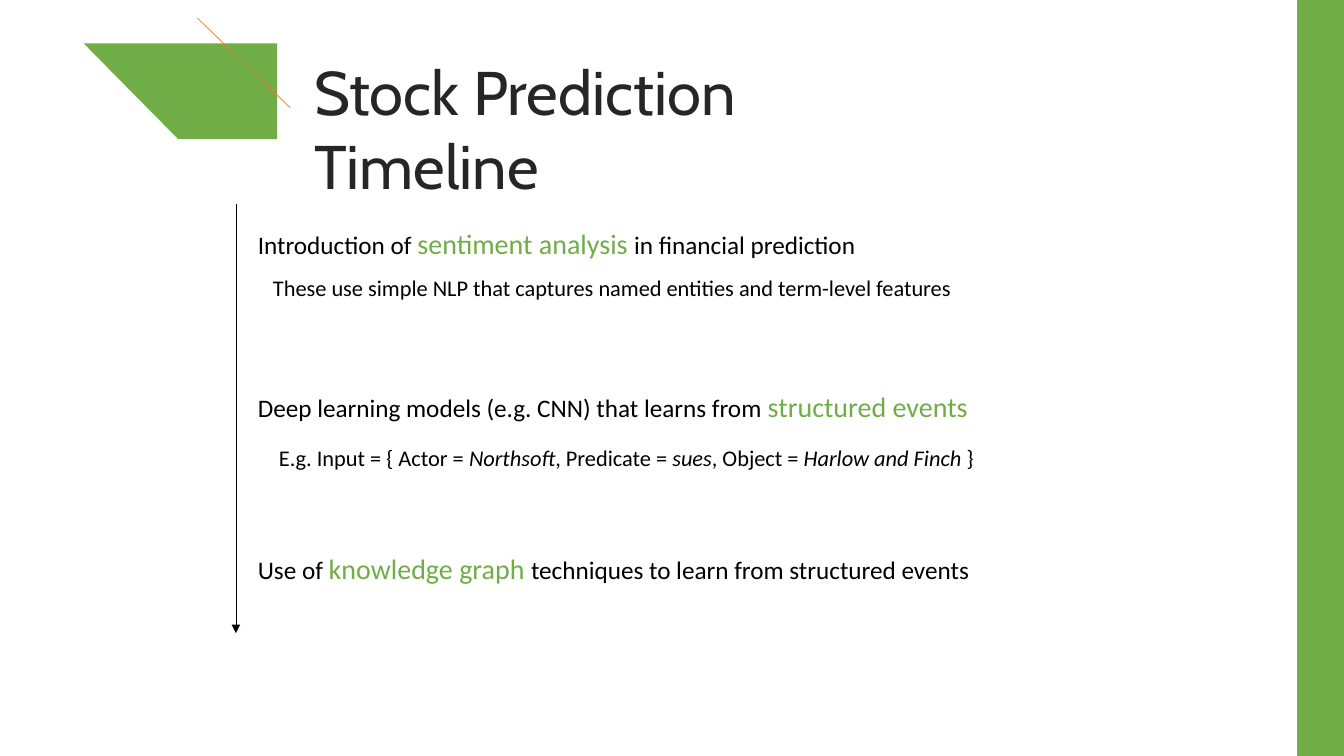
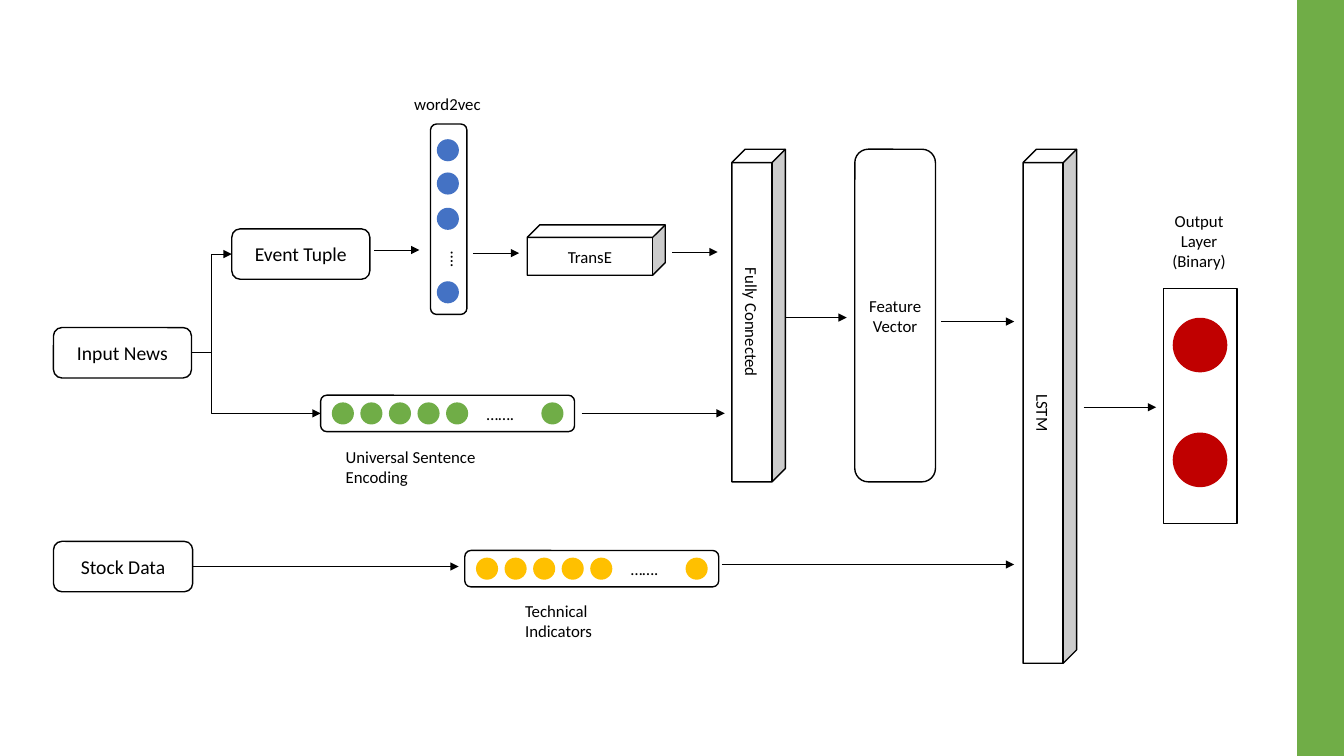
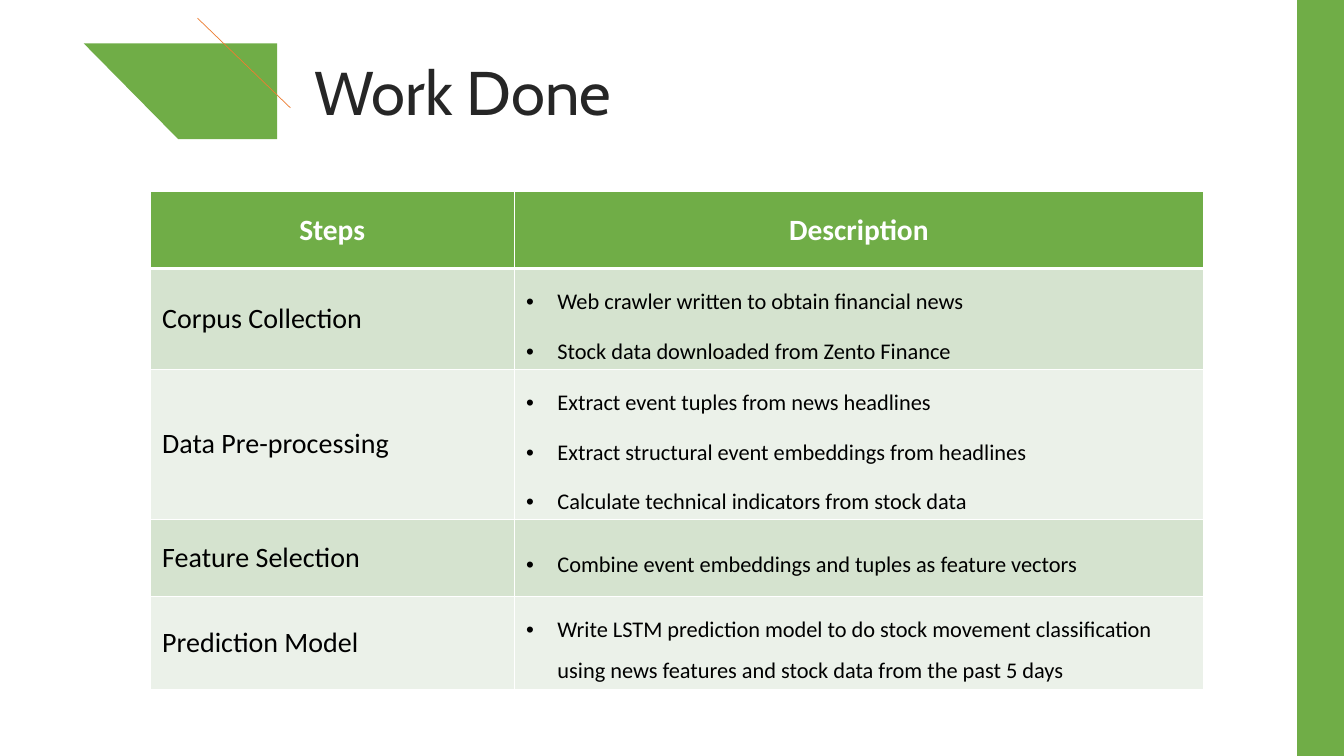
from typing import NamedTuple

from lxml.etree import SubElement
from pptx import Presentation
from pptx.dml.color import RGBColor
from pptx.enum.shapes import MSO_CONNECTOR as LINK, MSO_SHAPE as SHAPE
from pptx.enum.text import MSO_ANCHOR as ANCHOR, MSO_AUTO_SIZE as FIT, PP_ALIGN as ALIGN
from pptx.oxml.ns import qn
from pptx.util import Pt

COLORS = {
    "green": "70AD47", "orange": "ED7D31", "title": "262626", "black": "000000",
    "white": "FFFFFF", "blue": "4472C4", "gold": "FFC000", "red": "C00000",
    "row_dark": "D5E3CF", "row_light": "EBF1E9",
}
TOP, LEFT, BOTTOM, RIGHT = range(4)
DOT = 15.8


class Box(NamedTuple):
    left: float
    top: float
    width: float
    height: float

    def inner(self, dx, dy, width, height):
        """Box offset from this one's top left corner."""
        return Box(self.left + dx, self.top + dy, width, height)

    def emu(self):
        return [Pt(length) for length in self]


def rgb(name):
    return RGBColor.from_string(COLORS[name])


def apply(target, values):
    for name, value in values.items():
        setattr(target, name, value)


def write(frame, paragraphs, size=12, font="Calibri", color="black", bold=False, **layout):
    """Fill a text frame; a paragraph is a string or a list of (text, font changes)."""
    for index, runs in enumerate(paragraphs):
        paragraph = frame.paragraphs[0] if index == 0 else frame.add_paragraph()
        apply(paragraph, layout)
        for text, changes in [(runs, {})] if isinstance(runs, str) else runs:
            run = paragraph.add_run()
            run.text = text
            look = {"size": size, "color": color, "italic": False, **changes}
            apply(run.font, {"name": font, "size": Pt(look["size"]),
                             "bold": bold, "italic": look["italic"]})
            run.font.color.rgb = rgb(look["color"])


def turn_text(shape):
    shape.element.find(".//" + qn("a:bodyPr")).set("vert", "vert")


def label(slide, box, paragraphs, wrap=False, **look):
    text = slide.shapes.add_textbox(*box.emu())
    apply(text.text_frame, {"word_wrap": wrap, "auto_size": FIT.SHAPE_TO_FIT_TEXT})
    write(text.text_frame, paragraphs, **look)
    return text


def paint(shape, fill, outline=None):
    shape.shadow.inherit = False
    shape.fill.solid()
    shape.fill.fore_color.rgb = rgb(fill)
    if outline:
        shape.line.color.rgb = rgb(outline)
        shape.line.width = Pt(1)
    else:
        shape.line.fill.background()


def block(slide, kind, box, text=None, size=12, turned=False):
    """White outlined shape with optional centred text."""
    shape = slide.shapes.add_shape(kind, *box.emu())
    paint(shape, "white", "black")
    if text:
        shape.text_frame.vertical_anchor = ANCHOR.MIDDLE
        write(shape.text_frame, [text], size=size, alignment=ALIGN.CENTER)
    if turned:
        turn_text(shape)
    return shape


def dot(slide, box, color):
    paint(slide.shapes.add_shape(SHAPE.OVAL, *box.emu()), color)


def line(slide, start, end, color="black", arrow=True, kind=LINK.STRAIGHT):
    link = slide.shapes.add_connector(kind, *[Pt(length) for length in (*start, *end)])
    link.line.color.rgb = rgb(color)
    link.line.width = Pt(0.5)
    if arrow:
        SubElement(link.line._get_or_add_ln(), qn("a:tailEnd"), type="triangle")
    SubElement(link.element.spPr, qn("a:effectLst"))
    return link


def elbow(slide, source, target, bend):
    """Bent arrow from right side to left side, turning at the given share of its width."""
    link = line(slide, (0, 0), (1, 1), kind=LINK.ELBOW)
    link.begin_connect(source, RIGHT)
    link.end_connect(target, LEFT)
    geometry = link.element.spPr.find(qn("a:prstGeom"))
    guides = geometry.find(qn("a:avLst"))
    if guides is None:
        guides = SubElement(geometry, qn("a:avLst"))
    SubElement(guides, qn("a:gd"), name="adj1", fmla=f"val {round(bend * 100000)}")


def new_slide(deck):
    slide = deck.slides.add_slide(deck.slide_layouts[6])
    band = slide.shapes.add_shape(SHAPE.RECTANGLE, *Box(926.5, 0, 33.5, 540).emu())
    paint(band, "green")
    return slide


def heading(slide, box, title):
    """Slanted badge, orange stroke and title."""
    corners = [(box.left + dx, box.top + dy)
               for dx, dy in [(67.5, 68.4), (0, 0), (138.2, 0), (138.2, 68.4)]]
    first, *others = [(Pt(x), Pt(y)) for x, y in corners]
    outline = slide.shapes.build_freeform(*first)
    outline.add_line_segments(others)
    paint(outline.convert_to_shape(), "green")
    label(slide, box.inner(157.6, 4.3, box.width - 157.6, 60.5), [title],
          wrap=True, size=44, font="Cabin", color="title")
    line(slide, (box.left + 81.3, box.top - 18), (box.left + 147.6, box.top + 46),
         color="orange", arrow=False)


def timeline(slide, box, entries):
    """Downward arrow with a headline and an optional detail for each entry."""
    line(slide, (box.left, box.top), (box.left, box.top + box.height))
    for index, (headline, detail, dx, dy) in enumerate(entries):
        spot = box.inner(8.6, 13 + 116 * index, 540, 31.7)
        label(slide, spot, [headline], wrap=True, size=18)
        if detail:
            label(slide, spot.inner(dx, dy, 653, 26.6), [detail], wrap=True, size=16)


def dot_row(slide, box, color):
    row = block(slide, SHAPE.ROUNDED_RECTANGLE, box)
    for dx in [8 + 20.4 * step for step in range(5)] + [157.7]:
        dot(slide, box.inner(dx, 5.1, DOT, DOT), color)
    label(slide, box.inner(111.6, 2.2, 33.8, 21.6), ["……."])
    return row


def dot_column(slide, box, color):
    block(slide, SHAPE.ROUNDED_RECTANGLE, box)
    for dy in (10.8, 34.6, 59.8, 112.3):
        dot(slide, box.inner(4.5, dy, DOT, DOT), color)
    turn_text(label(slide, box.inner(1.4, 84.2, 28.8, 18.7), ["…."]))


def output_layer(slide, box):
    block(slide, SHAPE.RECTANGLE, box)
    for dy in (21, 103):
        dot(slide, box.inner(6.8, dy, 39, 39), "red")
    label(slide, box.inner(-0.7, -59, box.width, 51), ["Output", "Layer", "(Binary)"],
          alignment=ALIGN.CENTER)


def model_diagram(slide, box):
    stock_data, input_news, event_tuple = [
        block(slide, SHAPE.ROUNDED_RECTANGLE, box.inner(dx, dy, width, 36), text, size=14)
        for text, dx, dy, width in [("Stock Data", 0, 323.3, 99.4),
                                    ("Input News", 0, 170.6, 98.6),
                                    ("Event Tuple", 127.4, 100.1, 98.6)]]
    dot_column(slide, box.inner(269.3, 25.2, 26, 136), "blue")
    encoding = dot_row(slide, box.inner(190.8, 218.9, 181.4, 26), "green")
    dot_row(slide, box.inner(293.8, 329.8, 181.4, 26), "gold")
    block(slide, SHAPE.CUBE, box.inner(338.4, 97.2, 98.6, 36), "TransE")
    block(slide, SHAPE.CUBE, box.inner(484.6, 43.2, 38.2, 237.6), "Fully Connected", turned=True)
    block(slide, SHAPE.ROUNDED_RECTANGLE, box.inner(572.4, 43.2, 57.6, 237.6), "Feature Vector")
    block(slide, SHAPE.CUBE, box.inner(692.6, 43.2, 38.2, 367.2), "LSTM", turned=True)
    output_layer(slide, box.inner(792.7, 142.6, 52.6, 167.8))

    label(slide, box.inner(250.6, 0, 61.9, 21.6), ["word2vec"])
    label(slide, box.inner(201.6, 252, 154, 21.6), ["Universal Sentence Encoding"])
    label(slide, box.inner(329.8, 362.2, 105, 36), ["Technical Indicators"], wrap=True)

    elbow(slide, input_news, event_tuple, 0.5)
    elbow(slide, input_news, encoding, 0.155)
    from_stock, *_ = [
        line(slide, (box.left + start, box.top + dy), (box.left + end, box.top + dy))
        for start, end, dy in [(99.4, 289.4, 341.3), (229, 261.4, 115.2),
                               (299.5, 332.6, 117.4), (442.1, 474.5, 116.6),
                               (377.3, 479.5, 231.8), (522.7, 566.6, 163.4),
                               (634.3, 686.2, 166.3), (735.8, 787.7, 227.5),
                               (477.4, 686.2, 339.8)]]
    from_stock.begin_connect(stock_data, RIGHT)


def style_cell(cell, fill, bottom=1, top=1):
    apply(cell, {"vertical_anchor": ANCHOR.MIDDLE, "margin_left": Pt(8.6),
                 "margin_right": Pt(8.6), "margin_top": Pt(4.3), "margin_bottom": Pt(4.3)})
    properties = cell._tc.get_or_add_tcPr()
    for side, width in [("L", 1), ("R", 1), ("T", top), ("B", bottom)]:
        border = SubElement(properties, qn(f"a:ln{side}"), w=str(Pt(width)))
        paint_fill = SubElement(border, qn("a:solidFill"))
        SubElement(paint_fill, qn("a:srgbClr"), val=COLORS["white"])
    cell.fill.solid()
    cell.fill.fore_color.rgb = rgb(fill)


def add_bullets(frame):
    for paragraph in frame.paragraphs:
        properties = paragraph._p.get_or_add_pPr()
        properties.set("marL", str(Pt(22.3)))
        properties.set("indent", str(-Pt(22.3)))
        SubElement(properties, qn("a:buFont"), typeface="Arial")
        SubElement(properties, qn("a:buChar"), char="•")


def steps_table(slide, box, header, steps, column_widths, row_heights):
    table = slide.shapes.add_table(len(steps) + 1, len(header), *box.emu()).table
    for column, width in zip(table.columns, column_widths):
        column.width = Pt(width)
    for row, height in zip(table.rows, row_heights):
        row.height = Pt(height)
    for column, text in enumerate(header):
        cell = table.cell(0, column)
        style_cell(cell, "green", bottom=3)
        write(cell.text_frame, [text], size=21, color="white", bold=True,
              alignment=ALIGN.CENTER)
    for row, (step, descriptions) in enumerate(steps, 1):
        name, details = table.cell(row, 0), table.cell(row, 1)
        for cell in (name, details):
            style_cell(cell, "row_dark" if row % 2 else "row_light", top=3 if row == 1 else 1)
        write(name.text_frame, [step], size=20, space_after=Pt(6))
        write(details.text_frame, descriptions, size=16, line_spacing=1.5, space_after=Pt(6))
        add_bullets(details.text_frame)


KEY = {"size": 20, "color": "green"}
ITALIC = {"italic": True}
ENTRIES = [
    ([("Introduction of ", {}), ("sentiment analysis ", KEY),
      ("in financial prediction", {})],
     "These use simple NLP that captures named entities and term-level features", 10.8, 33.8),
    ([("Deep learning models (e.g. CNN) that learns from ", {}), ("structured events", KEY)],
     [("E.g. Input = { Actor = ", {}), ("Northsoft", ITALIC), (", Predicate = ", {}),
      ("sues", ITALIC), (", Object = ", {}), ("Harlow and Finch ", ITALIC), ("}", {})],
     15.1, 39.6),
    ([("Use of ", {}), ("knowledge graph ", KEY),
      ("techniques to learn from structured events", {})], None, 0, 0),
]
STEPS = [
    ("Corpus Collection", ["Web crawler written to obtain financial news",
                           "Stock data downloaded from Zento Finance"]),
    ("Data Pre-processing", ["Extract event tuples from news headlines",
                             "Extract structural event embeddings from headlines",
                             "Calculate technical indicators from stock data"]),
    ("Feature Selection", ["Combine event embeddings and tuples as feature vectors"]),
    ("Prediction Model", ["Write LSTM prediction model to do stock movement classification "
                          "using news features and stock data from the past 5 days"]),
]


def main():
    deck = Presentation()
    apply(deck, {"slide_width": Pt(960), "slide_height": Pt(540)})

    history = new_slide(deck)
    heading(history, Box(59.8, 31, 627, 68.4), "Stock Prediction Timeline")
    timeline(history, Box(168.5, 145.4, 662, 306.8), ENTRIES)

    model_diagram(new_slide(deck), Box(38.2, 63.4, 845.3, 410.4))

    progress = new_slide(deck)
    heading(progress, Box(59.8, 31, 600.4, 68.4), "Work Done")
    steps_table(progress, Box(107.3, 136.8, 752.4, 352.5), ("Steps", "Description"), STEPS,
                column_widths=(260, 492.4), row_heights=(55, 71, 106, 55.5, 65))

    deck.save("out.pptx")


if __name__ == "__main__":
    main()
